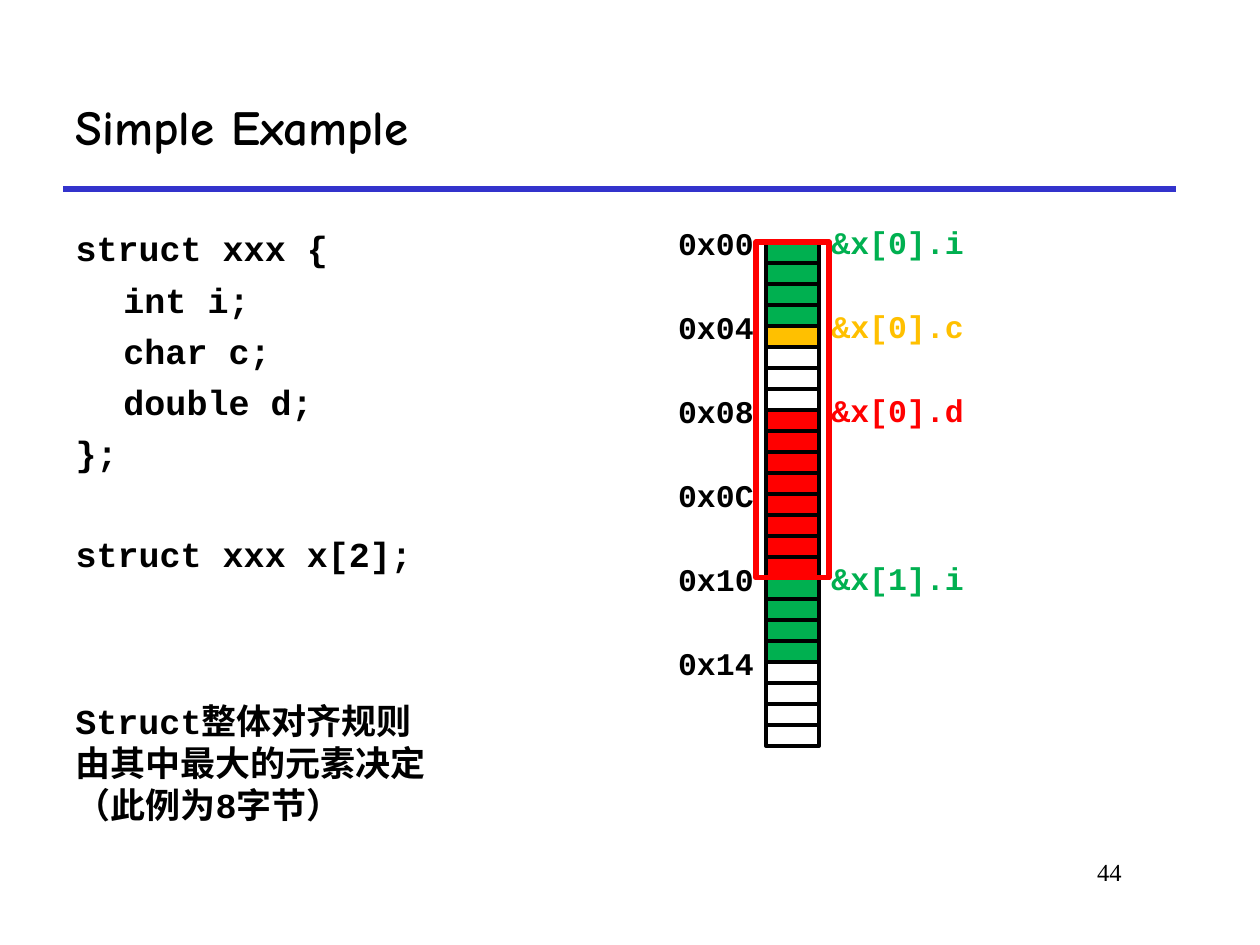
from pptx import Presentation
from pptx.dml.color import RGBColor
from pptx.enum import shapes, text
from pptx.oxml.ns import qn
from pptx.util import Inches, Pt
from lxml import etree

BLACK = RGBColor(0, 0, 0)
BLUE = RGBColor(0x33, 0x33, 0xCC)
GREEN = RGBColor(0x00, 0xB0, 0x50)
AMBER = RGBColor(0xFF, 0xC0, 0x00)
RED = RGBColor(0xFF, 0x00, 0x00)
CODE, HAND, SERIF = "Courier New", "Comic Neue", "Times New Roman"

TITLE = "Simple Example"
# (text, indent level, space before in points)
LINES = [
    ("struct xxx {", 0, 0),
    ("int i;", 1, 5.3),
    ("char c;", 1, 5.3),
    ("double d;", 1, 5.3),
    ("};", 0, 5.3),
    ("struct xxx x[2];", 0, 33.3),
]
RULE = ["Struct整体对齐规则", "由其中最大的元素决定", "（此例为8字节）"]
BYTES = [(4, GREEN), (1, AMBER), (3, None), (8, RED), (4, GREEN), (4, None)]
ADDRS = ["0x00", "0x04", "0x08", "0x0C", "0x10", "0x14"]
NAMES = [(0, "&x[0].i", GREEN), (4, "&x[0].c", AMBER),
         (8, "&x[0].d", RED), (16, "&x[1].i", GREEN)]
WORD, SIZE = 4, 16  # bytes per address label, bytes per struct

LEFT, WIDE = 0.5, 8.83
COL, TOP, CELL, ROW = 6.08, 1.92, 0.42, 1 / 6
LIFT = 0.19  # label box starts this far above its byte


def box(x, y, w, h):
    return [Inches(v) for v in (x, y, w, h)]


def put(para, words, size, color=BLACK, face=CODE, bold=True):
    run = para.add_run()
    run.text = words
    font = run.font
    font.size, font.name, font.bold = Pt(size), face, bold
    font.color.rgb = color


def label(slide, area, lines, size, color=BLACK, align=text.PP_ALIGN.LEFT,
          face=CODE, bold=True):
    frame = slide.shapes.add_textbox(*box(*area)).text_frame
    frame.word_wrap = True
    for n, words in enumerate(lines):
        para = frame.add_paragraph() if n else frame.paragraphs[0]
        para.alignment = align
        put(para, words, size, color, face, bold)


def rect(slide, area, fill, line, width):
    shape = slide.shapes.add_shape(shapes.MSO_SHAPE.RECTANGLE, *box(*area))
    shape.shadow.inherit = False
    if fill is None:
        shape.fill.background()
    else:
        shape.fill.solid()
        shape.fill.fore_color.rgb = fill
    shape.line.color.rgb = line
    shape.line.width = Pt(width)


def place(holder, area, anchor):
    holder.left, holder.top, holder.width, holder.height = box(*area)
    frame = holder.text_frame
    frame.word_wrap = True
    frame.auto_size = text.MSO_AUTO_SIZE.NONE
    frame.vertical_anchor = anchor
    return frame


def heading(slide):
    frame = place(slide.shapes.title, (LEFT, 0.5, WIDE, 1),
                  text.MSO_ANCHOR.MIDDLE)
    para = frame.paragraphs[0]
    para.alignment = text.PP_ALIGN.LEFT
    put(para, TITLE, 28, face=HAND)
    line = slide.shapes.add_connector(
        shapes.MSO_CONNECTOR.STRAIGHT,
        *box(LEFT, 1.5, LEFT + WIDE, 1.5))
    line.line.color.rgb = BLUE
    line.line.width = Pt(3)
    etree.SubElement(line._element.spPr, qn("a:effectLst"))


def listing(slide):
    frame = place(slide.placeholders[1], (LEFT, 1.75, 3.33, 3.17),
                  text.MSO_ANCHOR.TOP)
    for n, (words, level, gap) in enumerate(LINES):
        para = frame.add_paragraph() if n else frame.paragraphs[0]
        props = para._p.get_or_add_pPr()
        props.set("marL", str(Inches(0.38 * level)))
        props.set("indent", "0")
        etree.SubElement(props, qn("a:buNone"))
        para.space_before = Pt(gap)
        put(para, words, 20)


def memory(slide):
    fills = [fill for count, fill in BYTES for _ in range(count)]
    for n, fill in enumerate(fills):
        rect(slide, (COL, TOP + n * ROW, CELL, ROW), fill, BLACK, 2.25)
    for n, addr in enumerate(ADDRS):
        y = TOP + n * WORD * ROW - LIFT
        label(slide, (COL - 0.83, y, 0.83, 0.4), [addr], 18,
              align=text.PP_ALIGN.RIGHT)
    for n, name, color in NAMES:
        y = TOP + n * ROW - LIFT - 0.01
        label(slide, (COL + CELL, y, 1.5, 0.4), [name], 18, color)
    rect(slide, (COL - 0.08, TOP, 0.58, SIZE * ROW), None, RED, 3)


def main():
    deck = Presentation()
    deck.slide_width, deck.slide_height = Inches(10), Inches(7.5)
    slide = deck.slides.add_slide(deck.slide_layouts[1])
    heading(slide)
    listing(slide)
    memory(slide)
    label(slide, (LEFT, 5.5, 3.02, 1.11), RULE, 20)
    label(slide, (7.58, 6.75, 1.42, 0.5), ["44"], 14,
          align=text.PP_ALIGN.RIGHT, face=SERIF, bold=False)
    deck.save("out.pptx")


if __name__ == "__main__":
    main()
